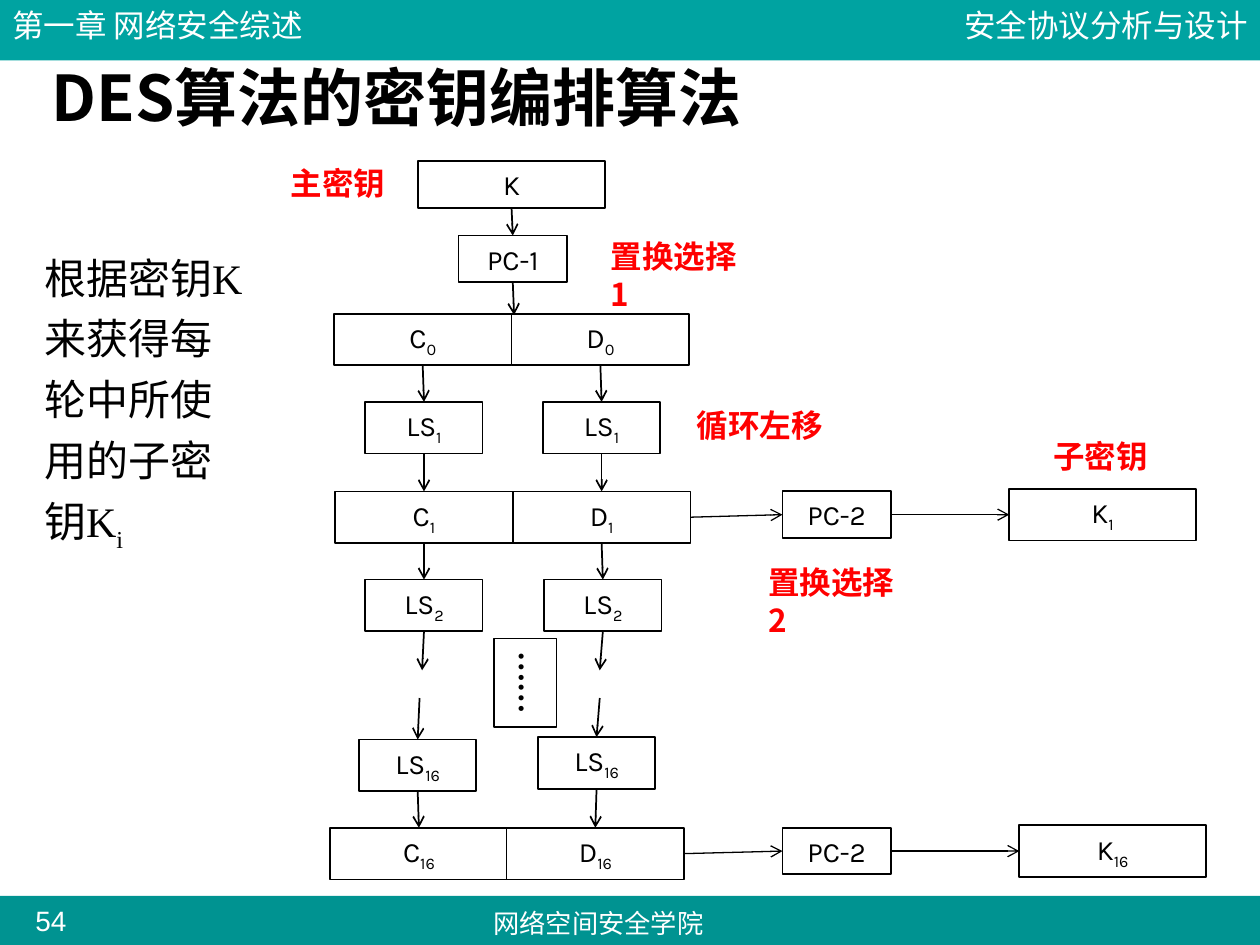
from lxml import etree
from pptx import Presentation, util as u
from pptx.dml.color import RGBColor
from pptx.enum import shapes, text
from pptx.oxml.ns import qn

COLORS = {"header": "00A3A1", "footer": "009391", "white": "FFFFFF",
          "black": "000000", "red": "FF0000"}
SANS, SERIF, LABEL, CJK = "Arial", "Times New Roman", "Karla", "Noto Sans CJK SC"
LEFT, CENTER, RIGHT = text.PP_ALIGN.LEFT, text.PP_ALIGN.CENTER, text.PP_ALIGN.RIGHT

TITLE = "DES算法的密钥编排算法"
BODY = [("根据密钥K",), ("来获得每",), ("轮中所使",), ("用的子密",), ("钥K", "i")]
BANDS = [("footer", 7.11, 0.42), ("header", 0, 0.48)]
BAND_TEXTS = [
    ("安全协议分析与设计", (6.92, 0, 3.08, 0.4), 18, RIGHT),
    ("网络空间安全学院", (3.58, 7.15, 2.34, 0.35), 15, CENTER),
    ("54", (0.14, 7.12, 0.53, 0.37), 16, CENTER),
    ("第一章 网络安全综述", (0, 0, 3.08, 0.4), 18, LEFT),
]
SIZES = {"key": (1.48, 0.37), "choice": (0.86, 0.37), "half": (1.41, 0.41),
         "shift": (0.93, 0.41), "subkey": (1.48, 0.41)}
BOXES = {
    "K": ("key", ("K",), 3.32, 1.28),
    "PC1": ("choice", ("PC-1",), 3.64, 1.87),
    "C0": ("half", ("C", "0"), 2.65, 2.49),
    "D0": ("half", ("D", "0"), 4.06, 2.49),
    "LS1 left": ("shift", ("LS", "1"), 2.9, 3.19),
    "LS1 right": ("shift", ("LS", "1"), 4.31, 3.19),
    "C1": ("half", ("C", "1"), 2.66, 3.9),
    "D1": ("half", ("D", "1"), 4.07, 3.9),
    "LS2 left": ("shift", ("LS", "2"), 2.9, 4.6),
    "LS2 right": ("shift", ("LS", "2"), 4.32, 4.6),
    "LS16 left": ("shift", ("LS", "16"), 2.85, 5.87),
    "LS16 right": ("shift", ("LS", "16"), 4.27, 5.85),
    "C16": ("half", ("C", "16"), 2.62, 6.57),
    "D16": ("half", ("D", "16"), 4.02, 6.57),
    "PC2 first": ("choice", ("PC-2",), 6.21, 3.9),
    "PC2 last": ("choice", ("PC-2",), 6.21, 6.57),
    "K1": ("subkey", ("K", "1"), 8.01, 3.88),
    "K16": ("subkey", ("K", "16"), 8.09, 6.55),
}
DOWN_ARROWS = [
    ("K", "PC1"), ("PC1", (4.08, 2.5)),
    ("C0", "LS1 left"), ("D0", "LS1 right"),
    ("LS1 left", "C1"), ("LS1 right", "D1"),
    ("C1", "LS2 left"), ("D1", "LS2 right"),
    ("LS2 left", (3.35, 5.32)), ("LS2 right", (4.76, 5.32)),
    ((3.33, 5.54), "LS16 left"), ((4.76, 5.54), "LS16 right"),
    ("LS16 left", "C16"), ("LS16 right", "D16"),
]
SIDE_ARROWS = [("D1", "PC2 first"), ("PC2 first", "K1"),
               ("D16", "PC2 last"), ("PC2 last", "K16")]
NOTES = [("置换选择1", 4.75, 1.83, 1.3), ("循环左移", 5.43, 3.17, 1.3),
         ("置换选择2", 6, 4.42, 1.3), ("主密钥", 2.21, 1.25, 1.1),
         ("子密钥", 8.26, 3.42, 1.1)]

presentation = Presentation()
presentation.slide_width, presentation.slide_height = u.Inches(10), u.Inches(7.5)
slide = presentation.slides.add_slide(presentation.slide_layouts[1])


def inches(values):
    return [u.Inches(value) for value in values]


def color(name):
    return RGBColor.from_string(COLORS[name])


def place(shape, box):
    shape.left, shape.top, shape.width, shape.height = inches(box)


def write(shape, lines, size=16, font=LABEL, fill="black", bold=False, align=CENTER,
          anchor=text.MSO_ANCHOR.MIDDLE, insets=(0.1, 0.05), spacing=None, gap=0, hanging=0):
    frame = shape.text_frame
    frame.word_wrap = True
    frame.auto_size = text.MSO_AUTO_SIZE.NONE
    frame.vertical_anchor = anchor
    frame.margin_left = frame.margin_right = u.Inches(insets[0])
    frame.margin_top = frame.margin_bottom = u.Inches(insets[1])
    for index, parts in enumerate(lines):
        paragraph = frame.add_paragraph() if index else frame.paragraphs[0]
        paragraph.alignment = align
        paragraph.line_spacing = spacing
        paragraph.space_before = u.Pt(gap if index else 0)
        paragraph.space_after = u.Pt(gap)
        if hanging:
            properties = paragraph._p.get_or_add_pPr()
            properties.set("marL", str(u.Inches(hanging)))
            properties.set("indent", str(-u.Inches(hanging)))
            etree.SubElement(properties, qn("a:buNone"))
        for order, part in enumerate(parts):
            run = paragraph.add_run()
            run.text = part
            run.font.size, run.font.bold, run.font.name = u.Pt(size), bold, font
            run.font.color.rgb = color(fill)
            properties = run._r.get_or_add_rPr()
            etree.SubElement(properties, qn("a:ea")).set("typeface", CJK)
            if order:
                properties.set("baseline", "-25000")


def add_box(box, fill=None, line=None, width=1):
    shape = slide.shapes.add_shape(shapes.MSO_SHAPE.RECTANGLE, *inches(box))
    shape.shadow.inherit = False
    if fill:
        shape.fill.solid()
        shape.fill.fore_color.rgb = color(fill)
    else:
        shape.fill.background()
    if line:
        shape.line.color.rgb = color(line)
        shape.line.width = u.Pt(width)
    else:
        shape.line.fill.background()
    return shape


def add_arrow(start, end, sides, width):
    points = [inches(point) if isinstance(point, tuple) else (0, 0) for point in (start, end)]
    arrow = slide.shapes.add_connector(shapes.MSO_CONNECTOR.STRAIGHT, *points[0], *points[1])
    if start in boxes:
        arrow.begin_connect(boxes[start], sides[0])
    if end in boxes:
        arrow.end_connect(boxes[end], sides[1])
    arrow.line.color.rgb = color("black")
    arrow.line.width = u.Pt(width)
    etree.SubElement(arrow.line._get_or_add_ln(), qn("a:tailEnd")).set("type", "arrow")
    etree.SubElement(arrow._element.spPr, qn("a:effectLst"))


for name, top, height in BANDS:
    add_box((0, top, 10, height), name)
for words, box, size, align in BAND_TEXTS:
    write(slide.shapes.add_textbox(*inches(box)), [(words,)], size=size, font=SANS,
          fill="white", align=align, anchor=text.MSO_ANCHOR.TOP)

title, body = slide.placeholders
place(title, (0.31, 0.48, 8.52, 0.93))
write(title, [(TITLE,)], size=36, font=CJK, bold=True, align=LEFT,
      anchor=text.MSO_ANCHOR.TOP, spacing=0.9)
place(body, (0.25, 1.95, 2, 4.72))
write(body, BODY, size=24, font=SERIF, align=text.PP_ALIGN.JUSTIFY,
      anchor=text.MSO_ANCHOR.TOP, spacing=1, gap=3, hanging=0.67)

boxes = {}
for name, (kind, parts, left, top) in BOXES.items():
    boxes[name] = add_box((left, top, *SIZES[kind]), "white", "black")
    write(boxes[name], [parts])

for start, end in DOWN_ARROWS:
    add_arrow(start, end, (2, 0), 1)
for start, end in SIDE_ARROWS:
    add_arrow(start, end, (3, 1), 0.75)

dots = add_box((3.92, 5.07, 0.5, 0.7), None, "black", 0.75)
write(dots, [("……",)], size=18, font=SERIF, bold=True, align=LEFT,
      anchor=text.MSO_ANCHOR.TOP, insets=(0.05, 0.1))
dots.text_frame._txBody.bodyPr.set("vert", "eaVert")

for words, left, top, width in NOTES:
    write(slide.shapes.add_textbox(*inches((left, top, width, 0.4))), [(words,)], size=18,
          font=CJK, fill="red", bold=True, align=LEFT, anchor=text.MSO_ANCHOR.TOP)

presentation.save("out.pptx")
